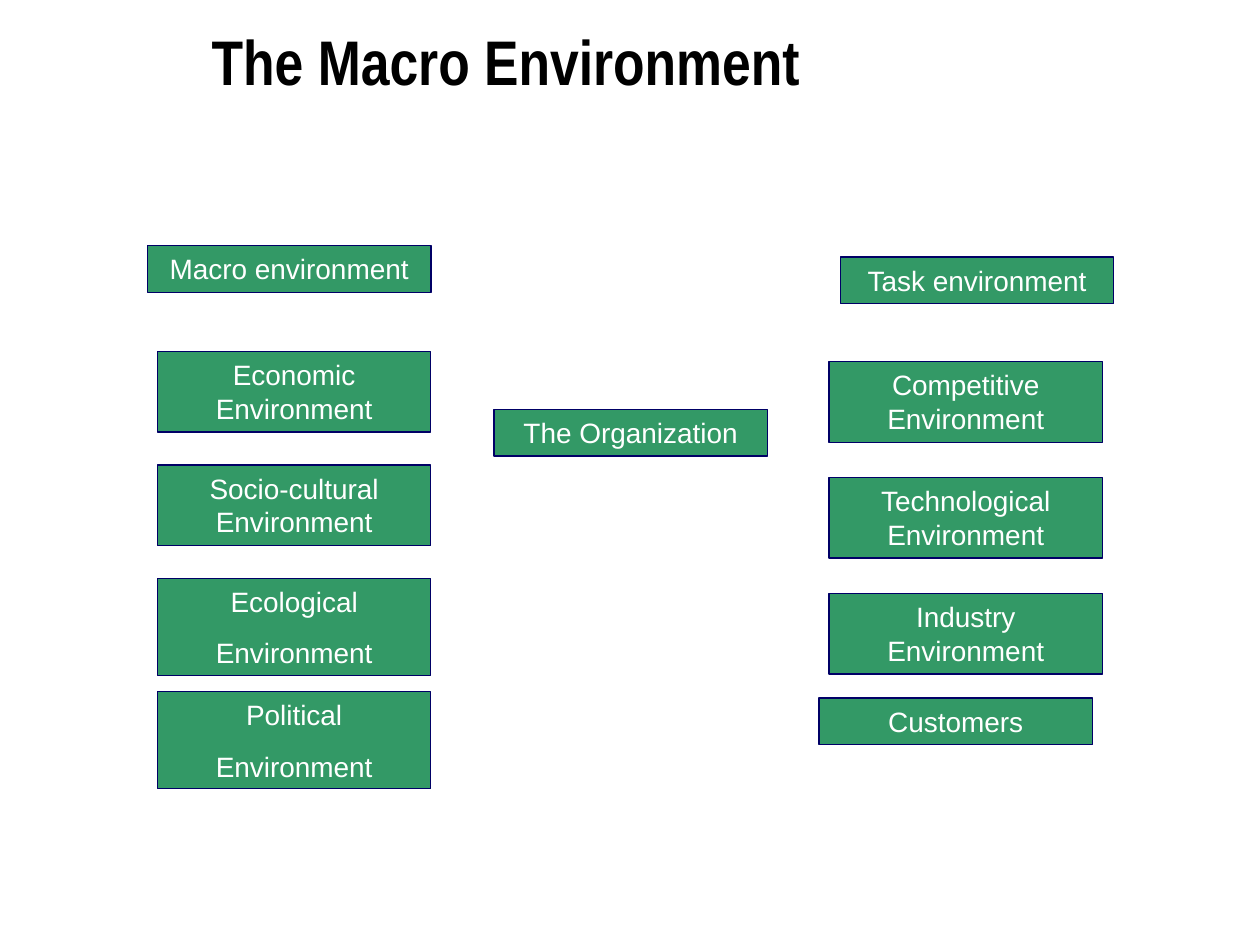
from dataclasses import dataclass

from pptx import Presentation
from pptx.dml.color import RGBColor
from pptx.enum import shapes, text
from pptx.util import Inches, Pt

BLACK = RGBColor(0x00, 0x00, 0x00)
WHITE = RGBColor(0xFF, 0xFF, 0xFF)
GREEN = RGBColor(0x33, 0x99, 0x66)
NAVY = RGBColor(0x00, 0x00, 0x66)

ONE_LINE, TWO_LINES, TWO_PARAGRAPHS = 0.37, 0.64, 0.77
MACRO_LEFT, MACRO_TOP, MACRO_PITCH = 1.25, 2.79, 0.9
TASK_LEFT, TASK_TOP, TASK_PITCH = 6.58, 2.87, 0.92


@dataclass
class Factor:
    label: str
    left: float
    top: float
    height: float = ONE_LINE
    width: float = 2.17


def write(frame, content: str, *, font: str, size: float, color: RGBColor,
          bold: bool = False, align=text.PP_ALIGN.LEFT,
          anchor=text.MSO_ANCHOR.TOP, gap: float = 0) -> None:
    frame.text = content
    frame.word_wrap = True
    frame.vertical_anchor = anchor
    frame.margin_left = frame.margin_right = Inches(0.1)
    frame.margin_top = frame.margin_bottom = Inches(0.05)
    for index, paragraph in enumerate(frame.paragraphs):
        paragraph.alignment = align
        paragraph.space_before = Pt(gap if index else 0)
        paragraph.font.name = font
        paragraph.font.size = Pt(size)
        paragraph.font.bold = bold
        paragraph.font.color.rgb = color


def draw_factor(slide, factor: Factor) -> None:
    box = slide.shapes.add_shape(
        shapes.MSO_SHAPE.RECTANGLE, Inches(factor.left), Inches(factor.top),
        Inches(factor.width), Inches(factor.height))
    box.shadow.inherit = False
    box.fill.solid()
    box.fill.fore_color.rgb = GREEN
    box.line.color.rgb = NAVY
    box.line.width = Pt(0.75)
    write(box.text_frame, factor.label, font="Arial", size=16, color=WHITE,
          align=text.PP_ALIGN.CENTER, gap=10)
    box.text_frame.auto_size = text.MSO_AUTO_SIZE.SHAPE_TO_FIT_TEXT


def main() -> None:
    deck = Presentation()
    deck.slide_width, deck.slide_height = Inches(10), Inches(7.5)
    slide = deck.slides.add_slide(deck.slide_layouts[5])

    title = slide.shapes.title
    title.left, title.top = Inches(1.58), Inches(0.08)
    title.width, title.height = Inches(7.75), Inches(0.75)
    write(title.text_frame, "The Macro Environment", font="Arial Narrow",
          size=36, color=BLACK, bold=True, anchor=text.MSO_ANCHOR.BOTTOM)
    title.text_frame.auto_size = text.MSO_AUTO_SIZE.NONE

    macro = [
        ("Economic Environment", TWO_LINES),
        ("Socio-cultural Environment", TWO_LINES),
        ("Ecological\nEnvironment", TWO_PARAGRAPHS),
        ("Political\nEnvironment", TWO_PARAGRAPHS),
    ]
    task = ["Competitive", "Technological", "Industry"]
    factors = [
        Factor("The Organization", 3.92, 3.25),
        Factor("Macro environment", 1.17, 1.95, width=2.25),
        *(Factor(label, MACRO_LEFT, MACRO_TOP + row * MACRO_PITCH, height)
          for row, (label, height) in enumerate(macro)),
        Factor("Task environment", 6.67, 2.04),
        *(Factor(f"{label} Environment", TASK_LEFT,
                 TASK_TOP + row * TASK_PITCH, TWO_LINES)
          for row, label in enumerate(task)),
        Factor("Customers", 6.5, 5.54),
    ]
    for factor in factors:
        draw_factor(slide, factor)

    deck.save("out.pptx")


if __name__ == "__main__":
    main()
